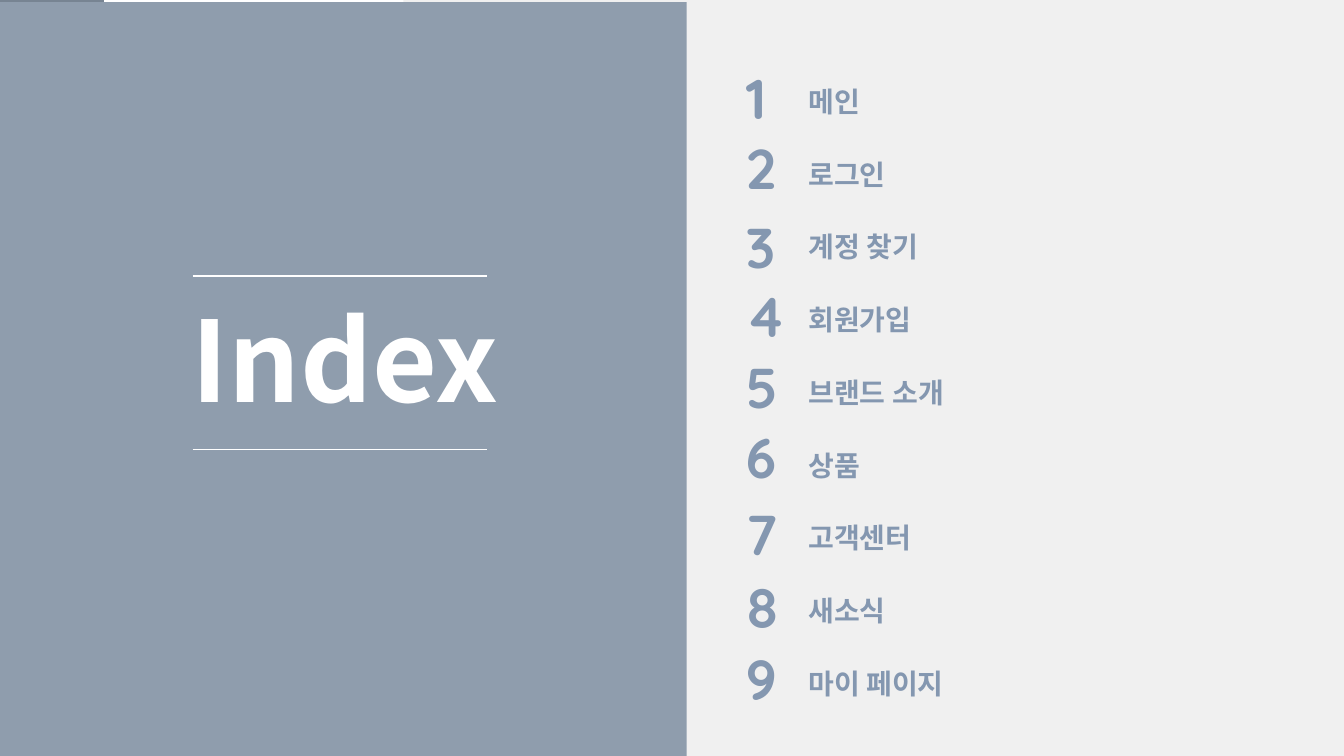
from dataclasses import dataclass

from lxml import etree
from pptx import Presentation
from pptx.dml.color import RGBColor
from pptx.enum.shapes import MSO_CONNECTOR, MSO_SHAPE
from pptx.enum.text import MSO_ANCHOR, PP_ALIGN
from pptx.oxml.ns import qn
from pptx.util import Inches, Pt

RECTANGLE = MSO_SHAPE.RECTANGLE
STRAIGHT = MSO_CONNECTOR.STRAIGHT
LEFT = PP_ALIGN.LEFT
TOP = MSO_ANCHOR.TOP

TEXT_FONT = "Noto Sans CJK KR"
NUMBER_FONT = "Quicksand"
WHITE = "FFFFFF"
SLATE = "8F9DAD"
DARK_SLATE = "778492"
BLUE_GREY = "8497B0"
LIGHT_GREY = "E7E6E6"


@dataclass
class Panel:
    left: float
    top: float
    width: float
    height: float
    color: str
    opacity: int = 100


@dataclass
class IndexEntry:
    label: str
    number_top: float


PANELS = [
    Panel(4, 0, 9.33, 7.5, LIGHT_GREY, 59),
    Panel(0, 0, 1.03, 0.43, DARK_SLATE),
    Panel(0, 0.02, 6.81, 7.48, SLATE),
]

ENTRIES = [
    IndexEntry("메인", 0.58),
    IndexEntry("로그인", 1.28),
    IndexEntry("계정 찾기", 2.06),
    IndexEntry("회원가입", 2.74),
    IndexEntry("브랜드 소개", 3.45),
    IndexEntry("상품", 4.14),
    IndexEntry("고객센터", 4.91),
    IndexEntry("새소식", 5.63),
    IndexEntry("마이 페이지", 6.34),
]

TITLE_RULE_TOPS = [2.74, 4.46]


def rgb(color: str) -> RGBColor:
    return RGBColor.from_string(color)


def add_panel(slide, panel: Panel) -> None:
    shape = slide.shapes.add_shape(
        RECTANGLE, Inches(panel.left), Inches(panel.top),
        Inches(panel.width), Inches(panel.height))
    shape.shadow.inherit = False
    shape.line.fill.background()
    shape.fill.solid()
    shape.fill.fore_color.rgb = rgb(panel.color)
    if panel.opacity < 100:
        color_element = shape.element.spPr.find(qn("a:solidFill"))[0]
        alpha = etree.SubElement(color_element, qn("a:alpha"))
        alpha.set("val", str(panel.opacity * 1000))


def add_run(paragraph, text: str, font: str, size: float, color: str) -> None:
    paragraph.alignment = LEFT
    run = paragraph.add_run()
    run.text = text
    run.font.name = font
    run.font.size = Pt(size)
    run.font.bold = True
    run.font.color.rgb = rgb(color)
    east_asian = etree.SubElement(run.font._element, qn("a:ea"))
    east_asian.set("typeface", font)


def add_number(slide, number: int, top: float) -> None:
    box = slide.shapes.add_textbox(
        Inches(7.3), Inches(top), Inches(0.54), Inches(0.77))
    box.text_frame.word_wrap = False
    add_run(box.text_frame.paragraphs[0], str(number), NUMBER_FONT, 40, BLUE_GREY)


def add_labels(slide, entries: list[IndexEntry]) -> None:
    box = slide.shapes.add_textbox(
        Inches(7.92), Inches(0.62), Inches(5.2), Inches(6.5))
    frame = box.text_frame
    frame.word_wrap = True
    for position, entry in enumerate(entries):
        paragraph = frame.add_paragraph() if position else frame.paragraphs[0]
        paragraph.line_spacing = 1.5
        paragraph.space_before = Pt(16)
        add_run(paragraph, entry.label, TEXT_FONT, 20, BLUE_GREY)


def format_title(slide, text: str) -> None:
    title = slide.shapes.title
    title.left, title.top = Inches(1.8), Inches(2.83)
    title.width, title.height = Inches(3.74), Inches(1.45)
    frame = title.text_frame
    frame.word_wrap = True
    frame.vertical_anchor = TOP
    add_run(frame.paragraphs[0], text, TEXT_FONT, 80, WHITE)
    # Bring the title in front of the panels
    title.element.getparent().append(title.element)


def add_rule(slide, top: float) -> None:
    rule = slide.shapes.add_connector(
        STRAIGHT, Inches(1.91), Inches(top), Inches(4.83), Inches(top))
    rule.line.color.rgb = rgb(WHITE)
    rule.line.width = Pt(1)
    etree.SubElement(rule.element.spPr, qn("a:effectLst"))


def main() -> None:
    presentation = Presentation()
    presentation.slide_width = Inches(13.33)
    presentation.slide_height = Inches(7.5)
    slide = presentation.slides.add_slide(presentation.slide_layouts[5])

    # Background panels
    for panel in PANELS:
        add_panel(slide, panel)

    # Title between two rules
    format_title(slide, "Index")
    for top in TITLE_RULE_TOPS:
        add_rule(slide, top)

    # Numbered index
    add_labels(slide, ENTRIES)
    for number, entry in enumerate(ENTRIES, start=1):
        add_number(slide, number, entry.number_top)

    presentation.save("out.pptx")


if __name__ == "__main__":
    main()
